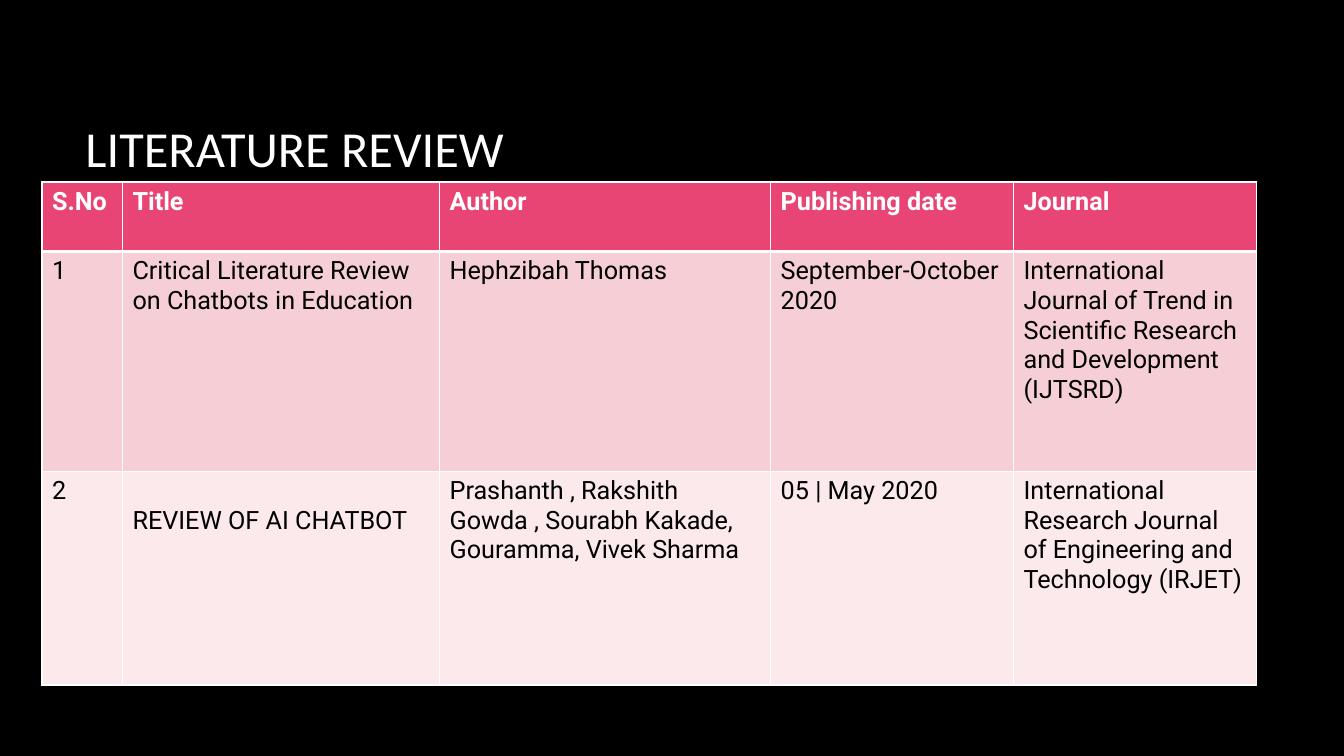
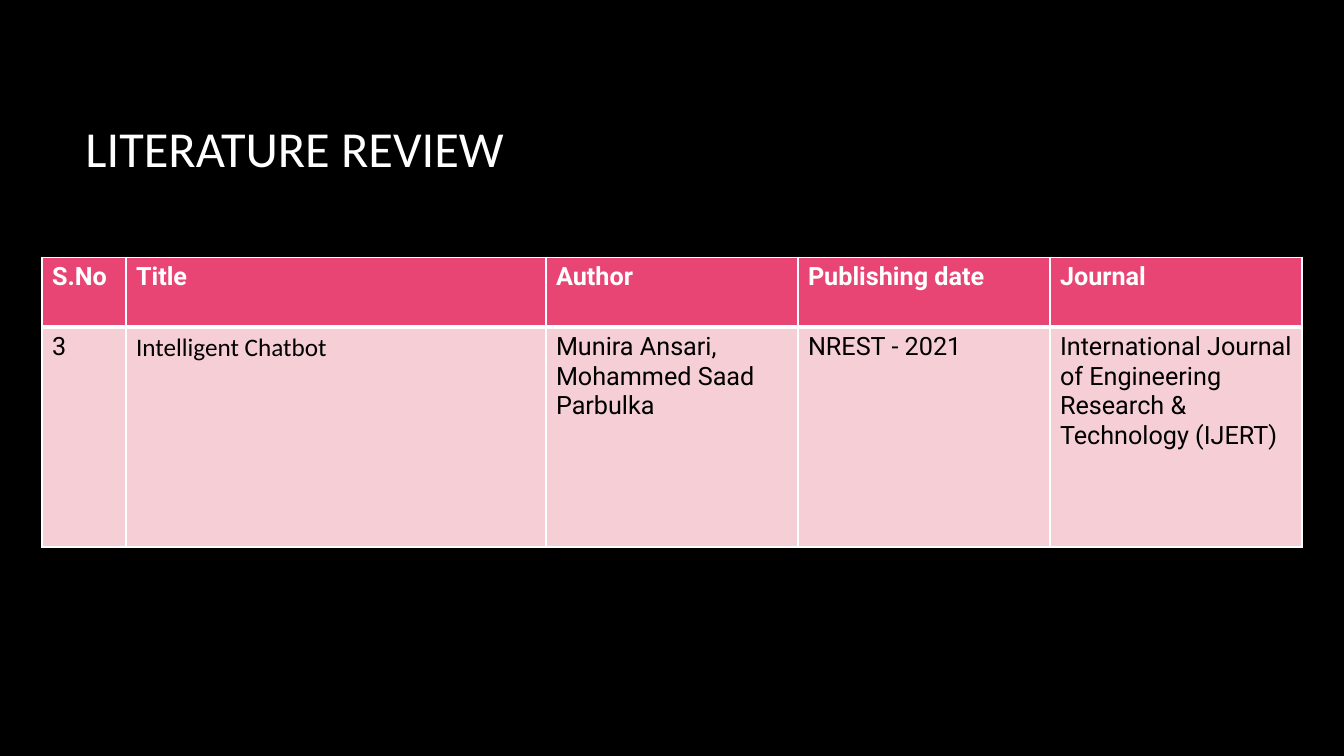
import pptx
import pptx.dml.color
import pptx.enum.text
import pptx.oxml
import pptx.oxml.ns
import pptx.util
from lxml import etree

Pt = pptx.util.Pt

COLORS = {
    "background": "000000",
    "title": "FFFFFF",
    "border": "FFFFFF",
    "header": "E84574",
    "header_text": "FFFFFF",
    "odd_row": "F6CFD6",
    "even_row": "FBE9EB",
    "body_text": "000000",
}
TITLE_FONT = "Calibri"
TABLE_FONT = "Roboto"
TEXT_SIZE = 18
TABLE_LEFT = 30
HEADER_HEIGHT = 49.7
CELL_TOP_MARGIN = 3.6
LINE_HEIGHT = 21.2
THIN, THICK = 1, 3
HEADINGS = ["S.No", "Title", "Author", "Publishing date", "Journal"]


def rgb(name):
    return pptx.dml.color.RGBColor.from_string(COLORS[name])


def add_run(paragraph, text, font, size, color, bold=False):
    run = paragraph.add_run()
    run.text = text
    run.font.name = font
    run.font.size = Pt(size)
    run.font.bold = bold
    run.font.color.rgb = rgb(color)


def add_review_slide(prs):
    """Black slide with the shared title."""
    slide = prs.slides.add_slide(prs.slide_layouts[6])
    slide.background.fill.solid()
    slide.background.fill.fore_color.rgb = rgb("background")
    title = slide.shapes.add_textbox(Pt(54), Pt(48), Pt(798), Pt(114.5))
    frame = title.text_frame
    frame.word_wrap = True
    frame.vertical_anchor = pptx.enum.text.MSO_ANCHOR.MIDDLE
    add_run(frame.paragraphs[0], "LITERATURE REVIEW", TITLE_FONT, 36, "title")
    return slide


def set_borders(cell, top, bottom):
    properties = cell._tc.get_or_add_tcPr()
    widths = {"lnL": THIN, "lnR": THIN, "lnT": top, "lnB": bottom}
    for side, width in widths.items():
        line = etree.SubElement(properties, pptx.oxml.ns.qn(f"a:{side}"), w=str(Pt(width)))
        fill = etree.SubElement(line, pptx.oxml.ns.qn("a:solidFill"))
        etree.SubElement(fill, pptx.oxml.ns.qn("a:srgbClr"), val=COLORS["border"])


def fill_cell(cell, text, row, font):
    """Style one cell by its row; each line of text is a paragraph."""
    is_header = row == 0
    set_borders(cell, THICK if row == 1 else THIN, THICK if is_header else THIN)
    cell.fill.solid()
    band = "odd_row" if row % 2 else "even_row"
    cell.fill.fore_color.rgb = rgb("header" if is_header else band)
    frame = cell.text_frame
    for index, line in enumerate(text.split("\n")):
        paragraph = frame.add_paragraph() if index else frame.paragraphs[0]
        color = "header_text" if is_header else "body_text"
        add_run(paragraph, line, font, TEXT_SIZE, color, is_header)


def add_review_table(slide, top, widths, body_heights, papers, fonts=None):
    """fonts maps (row, column) to a font other than the table font."""
    fonts = fonts or {}
    rows = [HEADINGS] + papers
    heights = [HEADER_HEIGHT] + body_heights
    table = slide.shapes.add_table(
        len(rows), len(widths), Pt(TABLE_LEFT), Pt(top), Pt(sum(widths)), Pt(sum(heights))
    ).table
    table.horz_banding = False
    for column, width in zip(table.columns, widths):
        column.width = Pt(width)
    for r, (values, height) in enumerate(zip(rows, heights)):
        table.rows[r].height = Pt(height)
        for c, text in enumerate(values):
            fill_cell(table.cell(r, c), text, r, fonts.get((r, c), TABLE_FONT))
    return table


def main():
    prs = pptx.Presentation()
    prs.slide_width, prs.slide_height = Pt(960), Pt(540)

    # Papers 1 and 2
    papers = [
        ["1", "Critical Literature Review on Chatbots in Education", "Hephzibah Thomas",
         "September-October 2020",
         "International Journal of Trend in Scientific Research and Development (IJTSRD)"],
        ["2", "REVIEW OF AI CHATBOT",
         "Prashanth , Rakshith Gowda , Sourabh Kakade, Gouramma, Vivek Sharma",
         "05 | May 2020",
         "International Research Journal of Engineering and Technology (IRJET)"],
    ]
    table = add_review_table(add_review_slide(prs), 130, [57.5, 226.5, 236.5, 173.5, 173.5],
                             [157, 152.6], papers)
    # The second paper's title starts one line lower
    table.cell(2, 1).margin_top = Pt(CELL_TOP_MARGIN + LINE_HEIGHT)

    # Paper 3
    papers = [
        ["3", "Intelligent Chatbot", "Munira Ansari,\nMohammed Saad Parbulka", "NREST - 2021",
         "International Journal of Engineering Research & Technology (IJERT)"],
    ]
    add_review_table(add_review_slide(prs), 184, [60, 300, 180, 180, 180], [157], papers,
                     {(1, 1): TITLE_FONT})

    prs.save("out.pptx")


if __name__ == "__main__":
    main()
